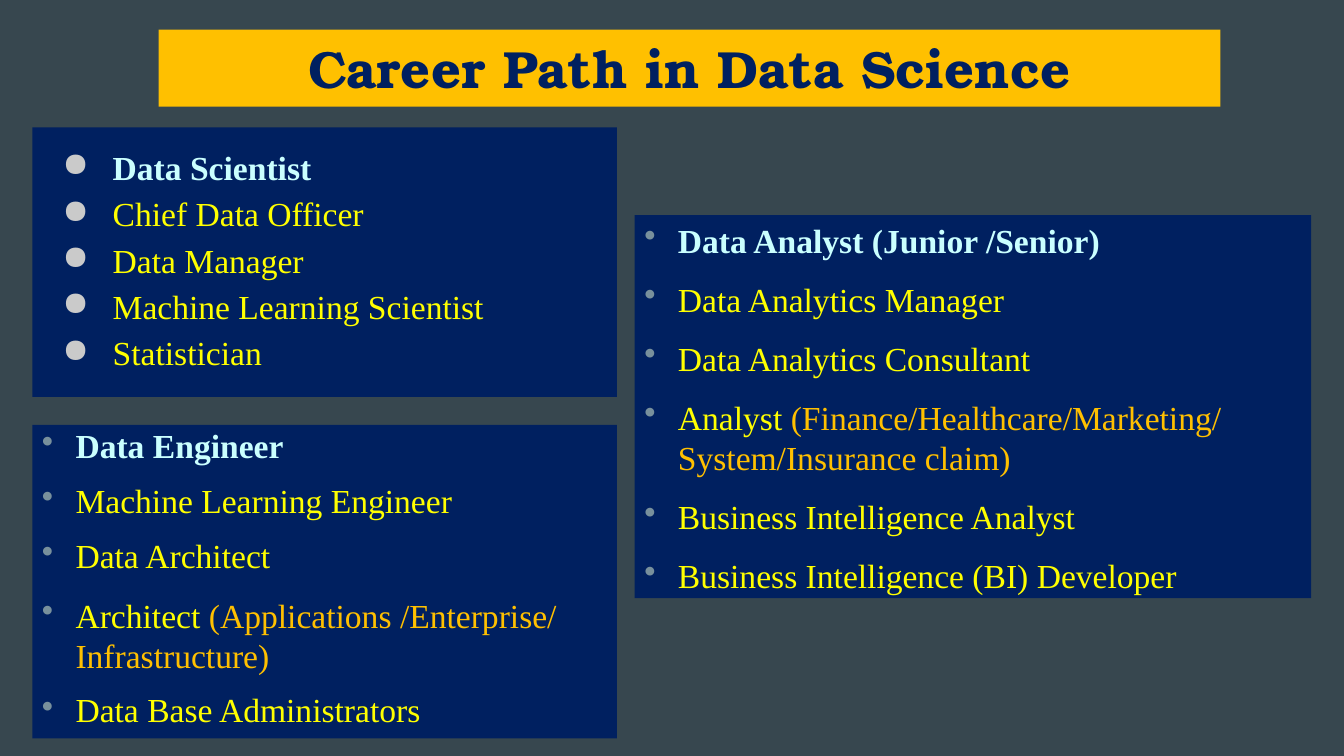
from dataclasses import dataclass

from lxml.etree import SubElement
from pptx import Presentation
from pptx.dml.color import RGBColor
from pptx.enum.text import MSO_ANCHOR, MSO_AUTO_SIZE, PP_ALIGN
from pptx.oxml.ns import qn
from pptx.util import Pt


@dataclass(frozen=True)
class Theme:
    background: str = "37474F"
    panel: str = "002060"
    accent: str = "FFC000"
    lead: str = "CAFFFF"
    role: str = "FFFF00"
    round_bullet: str = "CACACA"
    small_bullet: str = "78909C"
    title_font: str = "TeX Gyre Bonum"
    body_font: str = "Times New Roman"
    title_size: int = 28
    body_size: int = 18


@dataclass(frozen=True)
class ListStyle:
    bullet: str
    bullet_color: str
    indent: float
    hanging: float
    inset_x: float
    inset_y: float
    space_before: float


THEME = Theme()
ROUND = ListStyle("●", THEME.round_bullet, 36, 27, 7.2, 7.2, 0)
SMALL = ListStyle("•", THEME.small_bullet, 18, 18, 5.2, 2.6, 10)


def add_box(slide, left, top, width, height, fill):
    box = slide.shapes.add_textbox(Pt(left), Pt(top), Pt(width), Pt(height))
    box.fill.solid()
    box.fill.fore_color.rgb = RGBColor.from_string(fill)
    box.text_frame.word_wrap = True
    box.text_frame.vertical_anchor = MSO_ANCHOR.TOP
    return box


def format_run(run, font, size, color, bold=False):
    run.font.name = font
    run.font.size = Pt(size)
    run.font.bold = bold
    run.font.color.rgb = RGBColor.from_string(color)


def add_bullet(paragraph, style):
    properties = paragraph._p.get_or_add_pPr()
    properties.set("marL", str(Pt(style.indent)))
    properties.set("indent", str(-Pt(style.hanging)))
    color = SubElement(properties, qn("a:buClr"))
    SubElement(color, qn("a:srgbClr")).set("val", style.bullet_color)
    SubElement(properties, qn("a:buChar")).set("char", style.bullet)


def add_title(slide, text):
    box = add_box(slide, 85, 15.9, 568.8, 41.2, THEME.accent)
    box.text_frame.auto_size = MSO_AUTO_SIZE.SHAPE_TO_FIT_TEXT
    box.text_frame.text = text
    paragraph = box.text_frame.paragraphs[0]
    paragraph.alignment = PP_ALIGN.CENTER
    format_run(paragraph.runs[0], THEME.title_font, THEME.title_size, THEME.panel, True)


def add_role_list(slide, bounds, style, roles, line_spacing):
    frame = add_box(slide, *bounds, THEME.panel).text_frame
    frame.margin_left = frame.margin_right = Pt(style.inset_x)
    frame.margin_top = frame.margin_bottom = Pt(style.inset_y)
    frame.text = "\n".join(role for role, detail in roles)
    for index, (paragraph, (role, detail)) in enumerate(zip(frame.paragraphs, roles)):
        paragraph.line_spacing = 1.0 if detail else line_spacing
        paragraph.space_before = Pt(style.space_before)
        add_bullet(paragraph, style)
        is_lead = index == 0
        color = THEME.lead if is_lead else THEME.role
        format_run(paragraph.runs[0], THEME.body_font, THEME.body_size, color, is_lead)
        if detail:
            run = paragraph.add_run()
            run.text = detail
            format_run(run, THEME.body_font, THEME.body_size, THEME.accent)


def main():
    presentation = Presentation()
    presentation.slide_width = Pt(720)
    presentation.slide_height = Pt(405)
    slide = presentation.slides.add_slide(presentation.slide_layouts[6])
    slide.background.fill.solid()
    slide.background.fill.fore_color.rgb = RGBColor.from_string(THEME.background)

    scientist_roles = [
        ("Data Scientist", ""),
        ("Chief Data Officer", ""),
        ("Data Manager", ""),
        ("Machine Learning Scientist", ""),
        ("Statistician", ""),
    ]
    engineer_roles = [
        ("Data Engineer", ""),
        ("Machine Learning Engineer", ""),
        ("Data Architect", ""),
        ("Architect ", "(Applications /Enterprise/ Infrastructure)"),
        ("Data Base Administrators", ""),
    ]
    analyst_roles = [
        ("Data Analyst (Junior /Senior)", ""),
        ("Data Analytics Manager", ""),
        ("Data Analytics Consultant", ""),
        ("Analyst ", "(Finance/Healthcare/Marketing/ System/Insurance claim)"),
        ("Business Intelligence Analyst", ""),
        ("Business Intelligence (BI) Developer", ""),
    ]
    add_role_list(slide, (17.3, 68.2, 313.2, 144.5), ROUND, scientist_roles, 1.15)
    add_role_list(slide, (17.3, 227.6, 313.2, 168), SMALL, engineer_roles, 0.9)
    add_role_list(slide, (340, 115.2, 362.4, 205.2), SMALL, analyst_roles, 1.0)
    add_title(slide, "Career Path in Data Science")
    presentation.save("out.pptx")


if __name__ == "__main__":
    main()
